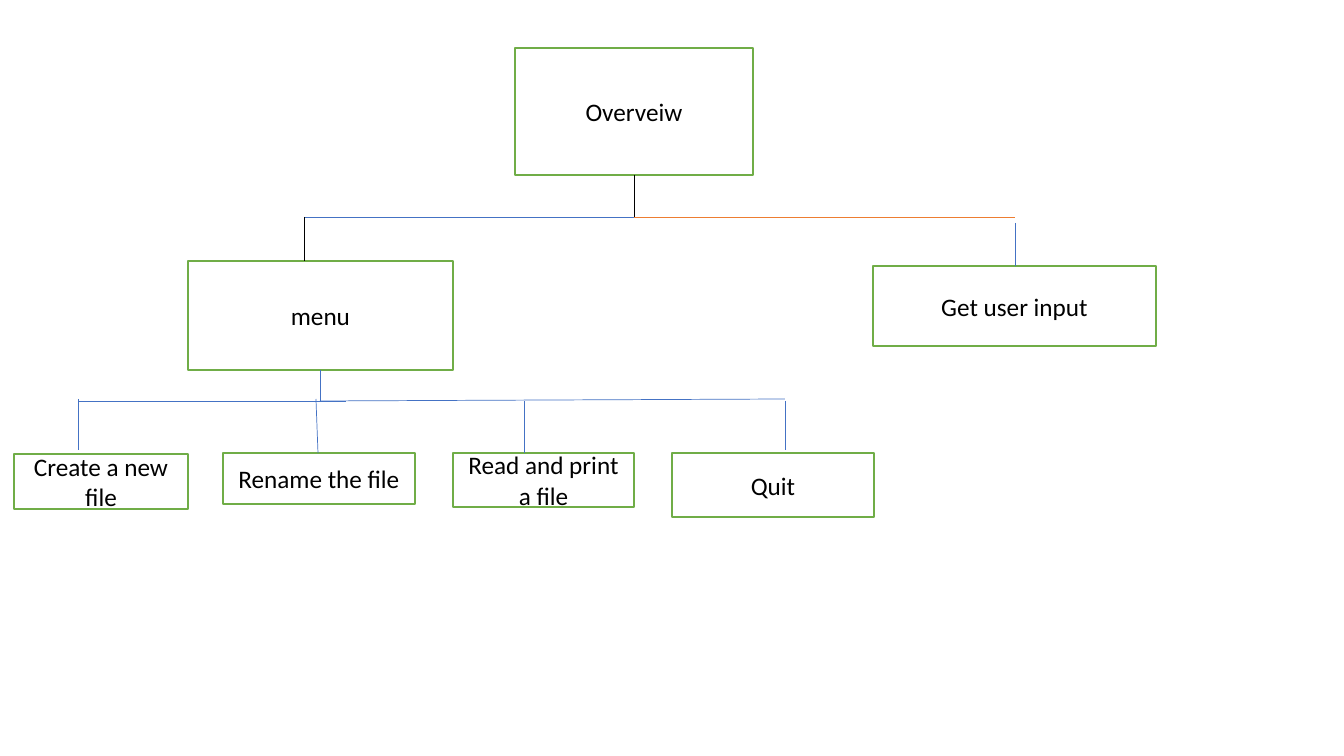
from pptx import Presentation
from pptx.dml.color import RGBColor
from pptx.enum.shapes import MSO_CONNECTOR as Connector, MSO_SHAPE as Shape
from pptx.enum.text import MSO_ANCHOR as Anchor, PP_ALIGN as Align
from pptx.oxml.ns import qn
from pptx.util import Emu, Pt
from lxml.etree import SubElement

SCALE = 914400 / 100.8
WHITE = RGBColor(0xFF, 0xFF, 0xFF)
BLACK = RGBColor(0x00, 0x00, 0x00)
GREEN = RGBColor(0x70, 0xAD, 0x47)
BLUE = RGBColor(0x44, 0x72, 0xC4)
ORANGE = RGBColor(0xED, 0x7D, 0x31)
FONT = {"name": "Calibri", "size": Pt(18)}


def lengths(*pixels):
    return [Emu(round(pixel * SCALE)) for pixel in pixels]


presentation = Presentation()
presentation.slide_width, presentation.slide_height = lengths(1344, 756)
slide = presentation.slides.add_slide(presentation.slide_layouts[6])

boxes = [
    ("Overveiw", 515, 48, 238, 127),
    ("menu", 188, 261, 265, 109),
    ("Get user input", 873, 266, 283, 80),
    ("Create a new file", 14, 454, 174, 55),
    ("Rename the file", 223, 453, 192, 51),
    ("Read and print a file", 453, 453, 181, 54),
    ("Quit", 672, 453, 202, 64),
]
for label, *place in boxes:
    box = slide.shapes.add_shape(Shape.RECTANGLE, *lengths(*place))
    box.shadow.inherit = False
    box.fill.solid()
    box.fill.fore_color.rgb = WHITE
    box.line.color.rgb = GREEN
    box.line.width = Pt(1)
    frame = box.text_frame
    frame.word_wrap = True
    frame.vertical_anchor = Anchor.MIDDLE
    paragraph = frame.paragraphs[0]
    paragraph.alignment = Align.CENTER
    run = paragraph.add_run()
    run.text = label
    for name, value in FONT.items():
        setattr(run.font, name, value)
    run.font.color.rgb = BLACK

branches = [
    (BLACK, 634, 175, 634, 217),
    (BLUE, 634, 217, 304, 217),
    (ORANGE, 634, 217, 1015, 217),
    (BLACK, 304, 217, 304, 261),
    (BLUE, 1015, 223, 1015, 266),
    (BLUE, 320, 370, 320, 401),
    (BLUE, 346, 401, 78, 401),
    (BLUE, 320, 401, 785, 399),
    (BLUE, 78, 399, 78, 450),
    (BLUE, 316, 399, 318, 453),
    (BLUE, 524, 401, 524, 453),
    (BLUE, 785, 401, 785, 450),
]
for color, *ends in branches:
    branch = slide.shapes.add_connector(Connector.STRAIGHT, *lengths(*ends))
    branch.line.color.rgb = color
    branch.line.width = Pt(0.5)
    SubElement(branch._element.spPr, qn("a:effectLst"))

presentation.save("out.pptx")
